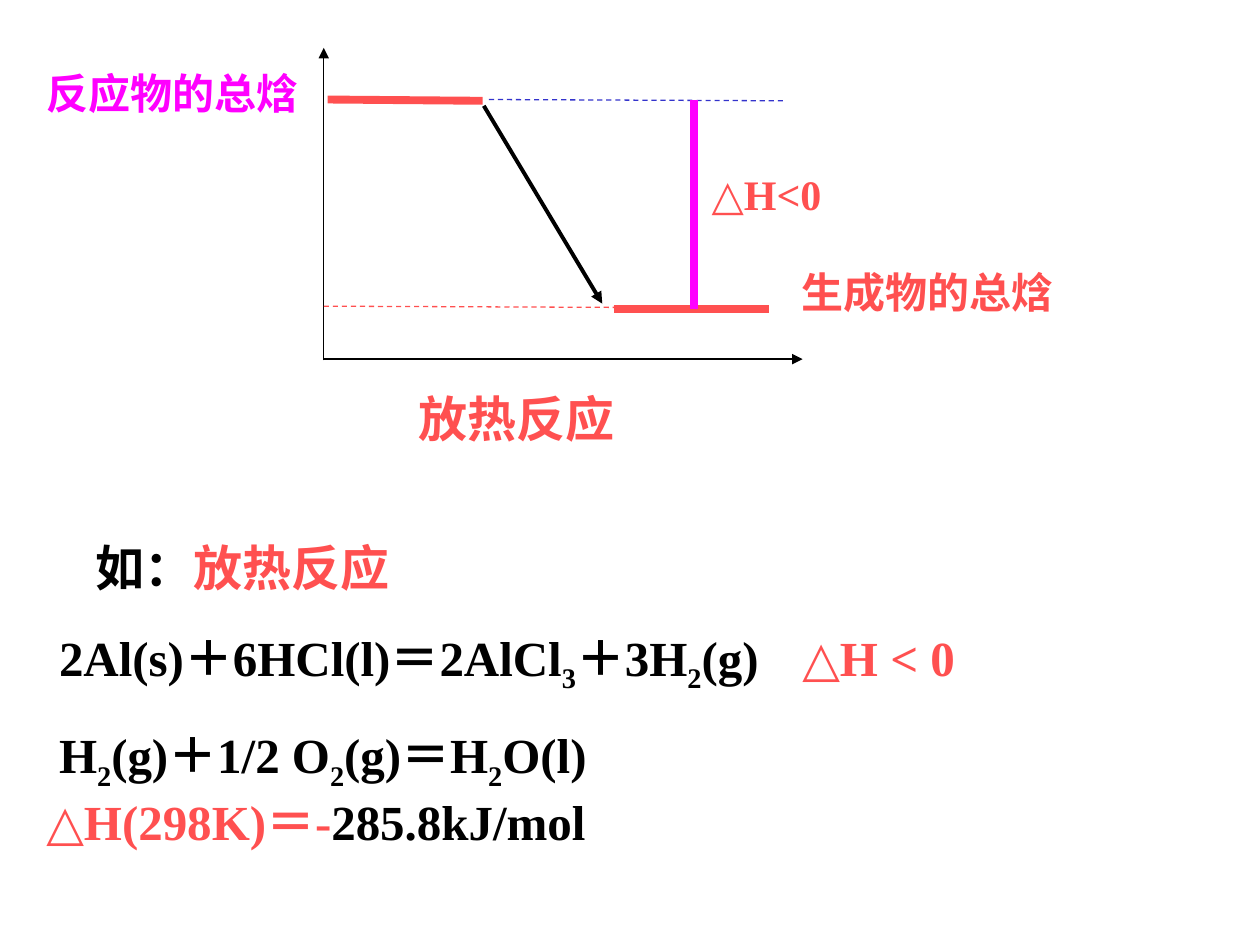
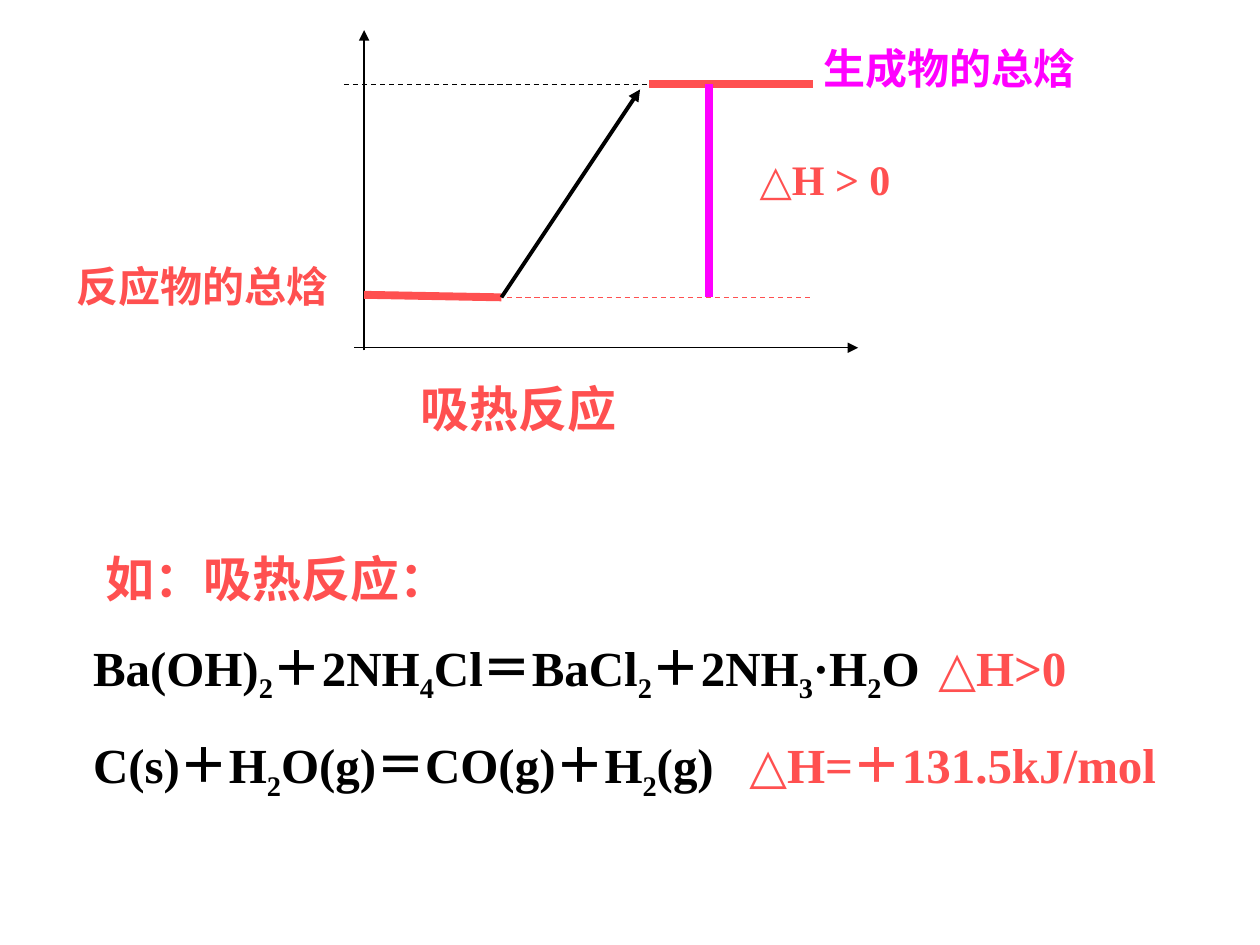
from pptx import Presentation
from pptx.dml.color import RGBColor
from pptx.enum.dml import MSO_LINE_DASH_STYLE as Dash
from pptx.enum.shapes import MSO_CONNECTOR as Conn
from pptx.enum.text import MSO_ANCHOR, MSO_AUTO_SIZE, PP_ALIGN
from pptx.oxml.ns import qn
from pptx.util import Inches, Pt
from lxml.etree import SubElement

BLACK = RGBColor(0x00, 0x00, 0x00)
CORAL = RGBColor(0xFF, 0x50, 0x50)
MAGENTA = RGBColor(0xFF, 0x00, 0xFF)
BLUE = RGBColor(0x33, 0x33, 0xCC)
SERIF = "Times New Roman"
SANS = "Noto Sans CJK SC"
TITLE_ONLY = 5
THIN, MEDIUM, THICK = 0.75, 2.25, 4.5


def set_format(target, values):
    for name, value in values.items():
        setattr(target, name, value)


def add_run(p, text, size, color, font=SERIF, subscript=False):
    r = p.add_run()
    r.text = text
    set_format(r.font, {"name": font, "size": Pt(size), "bold": True})
    r.font.color.rgb = color
    if subscript:
        r._r.get_or_add_rPr().set("baseline", "-25000")


def place(sp, left, top, width, height):
    set_format(sp, {"left": Inches(left), "top": Inches(top),
                    "width": Inches(width), "height": Inches(height)})
    tf = sp.text_frame
    set_format(tf, {"word_wrap": True, "auto_size": MSO_AUTO_SIZE.NONE,
                    "vertical_anchor": MSO_ANCHOR.TOP})
    return tf


def add_box(s, *box):
    return place(s.shapes.add_textbox(0, 0, 0, 0), *box)


def add_title(s, text, *box):
    p = place(s.shapes.title, *box).paragraphs[0]
    p.alignment = PP_ALIGN.LEFT
    add_run(p, text, 28, CORAL)


def add_label(s, text, color, *box):
    add_run(add_box(s, *box).paragraphs[0], text, 24, color)


def add_line(s, start, end, color, width, dashed=False, arrow=False):
    line = s.shapes.add_connector(Conn.STRAIGHT, *map(Inches, start + end))
    line.line.color.rgb = color
    line.line.width = Pt(width)
    if dashed:
        line.line.dash_style = Dash.DASH
    if arrow:
        SubElement(line.line._get_or_add_ln(), qn("a:tailEnd"), type="triangle")
    SubElement(line._element.spPr, qn("a:effectLst"))


def add_axes(s, vertical, horizontal):
    for start, end in (vertical, horizontal):
        add_line(s, start, end, BLACK, THIN, arrow=True)


def add_level(s, start, end):
    add_line(s, start, end, CORAL, THICK)


def add_guide(s, start, end, color):
    add_line(s, start, end, color, THIN, dashed=True)


def add_enthalpy_change(s, x, top, bottom):
    add_line(s, (x, top), (x, bottom), MAGENTA, THICK)


def add_reaction_arrow(s, start, end):
    add_line(s, start, end, BLACK, MEDIUM, arrow=True)


def indent_first_line(p, indent, tab):
    pPr = p._p.get_or_add_pPr()
    pPr.set("marL", "0")
    pPr.set("indent", str(Inches(indent)))
    if tab:
        tabs = SubElement(pPr, qn("a:tabLst"))
        SubElement(tabs, qn("a:tab"), pos=str(Inches(tab)), algn="l")


def add_formula(p, formula, color, font=SERIF):
    for i, part in enumerate(formula.split("_")):
        if part:
            add_run(p, part, 28, color, font, subscript=i % 2 == 1)


def add_examples(s, box, lines):
    tf = add_box(s, *box)
    for i, (indent, tab, pieces) in enumerate(lines):
        p = tf.add_paragraph() if i else tf.paragraphs[0]
        indent_first_line(p, indent, tab)
        if i:
            p.space_before = Pt(17.5)
        for piece in pieces:
            if piece == "\n":
                p.add_line_break()
            else:
                add_formula(p, *piece)


def add_exothermic(prs):
    s = prs.slides.add_slide(prs.slide_layouts[TITLE_ONLY])
    add_axes(s, ((2.57, 2.86), (2.57, 0.38)), ((2.57, 2.85), (6.37, 2.85)))
    add_level(s, (2.6, 0.79), (3.83, 0.8))
    add_guide(s, (3.88, 0.79), (6.23, 0.8), BLUE)
    add_level(s, (4.87, 2.45), (6.1, 2.45))
    add_guide(s, (2.57, 2.43), (4.93, 2.44), CORAL)
    add_label(s, "反应物的总焓", MAGENTA, 0.27, 0.49, 2.67, 0.5)
    add_label(s, "生成物的总焓", CORAL, 6.26, 2.07, 2.46, 0.5)
    add_enthalpy_change(s, 5.51, 0.79, 2.45)
    add_label(s, "△H<0", CORAL, 5.55, 1.29, 1.44, 0.5)
    add_title(s, "放热反应", 3.22, 3.03, 1.87, 0.57)
    add_reaction_arrow(s, (3.84, 0.84), (4.78, 2.41))
    add_examples(s, (0.27, 4.22, 9.45, 2.58), [
        (0.39, None, [("如：", BLACK, SANS), ("放热反应", CORAL, SANS)]),
        (0.1, 6.8, [("2Al(s)＋6HCl(l)＝2AlCl_3_＋3H_2_(g)\t", BLACK),
                    ("△H < 0", CORAL)]),
        (0.1, None, [("H_2_(g)＋1/2 O_2_(g)＝H_2_O(l)", BLACK), "\n",
                     ("△H(298K)＝-", CORAL), ("285.8kJ/mol", BLACK)]),
    ])


def add_endothermic(prs):
    s = prs.slides.add_slide(prs.slide_layouts[TITLE_ONLY])
    add_axes(s, ((2.89, 2.78), (2.89, 0.24)), ((2.81, 2.76), (6.81, 2.76)))
    add_guide(s, (2.73, 0.67), (5.33, 0.67), BLACK)
    add_level(s, (5.15, 0.67), (6.45, 0.67))
    add_guide(s, (3.74, 2.36), (6.45, 2.36), CORAL)
    add_level(s, (2.89, 2.34), (3.98, 2.36))
    add_label(s, "生成物的总焓", MAGENTA, 6.44, 0.29, 2.81, 0.5)
    add_label(s, "反应物的总焓", CORAL, 0.51, 2.02, 2.6, 0.5)
    add_enthalpy_change(s, 5.63, 0.67, 2.36)
    add_label(s, "△H > 0", CORAL, 5.93, 1.17, 1.51, 0.5)
    add_title(s, "吸热反应", 3.24, 2.95, 2.07, 0.57)
    add_reaction_arrow(s, (3.98, 2.36), (5.08, 0.71))
    add_examples(s, (0.35, 4.3, 9.37, 2.58), [
        (0.39, None, [("如：吸热反应：", CORAL)]),
        (0.29, 7.8, [("Ba(OH)_2_＋2NH_4_Cl＝BaCl_2_＋2NH_3_·H_2_O\t", BLACK),
                     ("△H>0", CORAL)]),
        (0.29, 6.27, [("C(s)＋H_2_O(g)＝CO(g)＋H_2_(g)\t", BLACK),
                      ("△H=＋131.5kJ/mol", CORAL)]),
    ])


def main():
    prs = Presentation()
    set_format(prs, {"slide_width": Inches(10), "slide_height": Inches(7.5)})
    add_exothermic(prs)
    add_endothermic(prs)
    prs.save("out.pptx")


if __name__ == "__main__":
    main()
